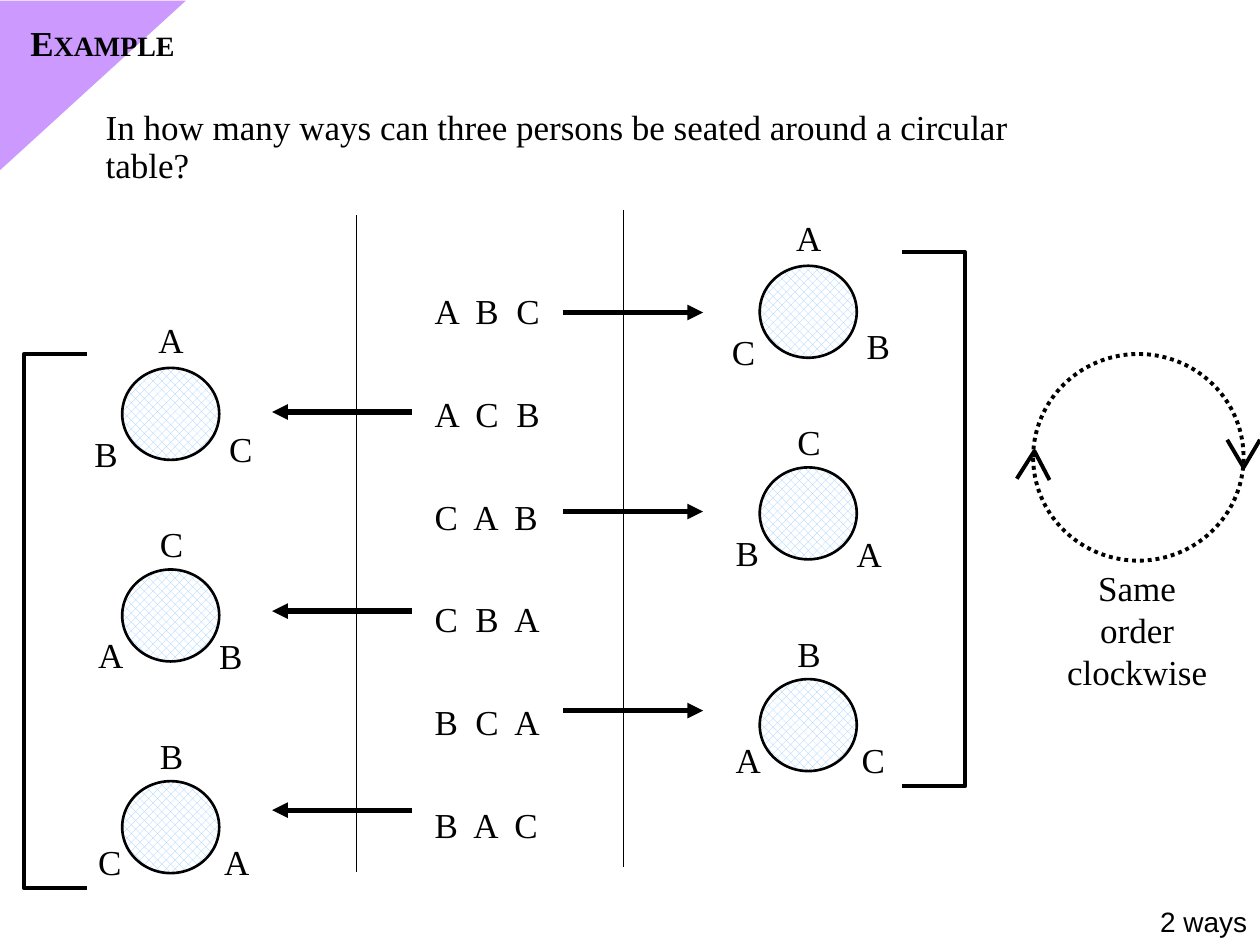
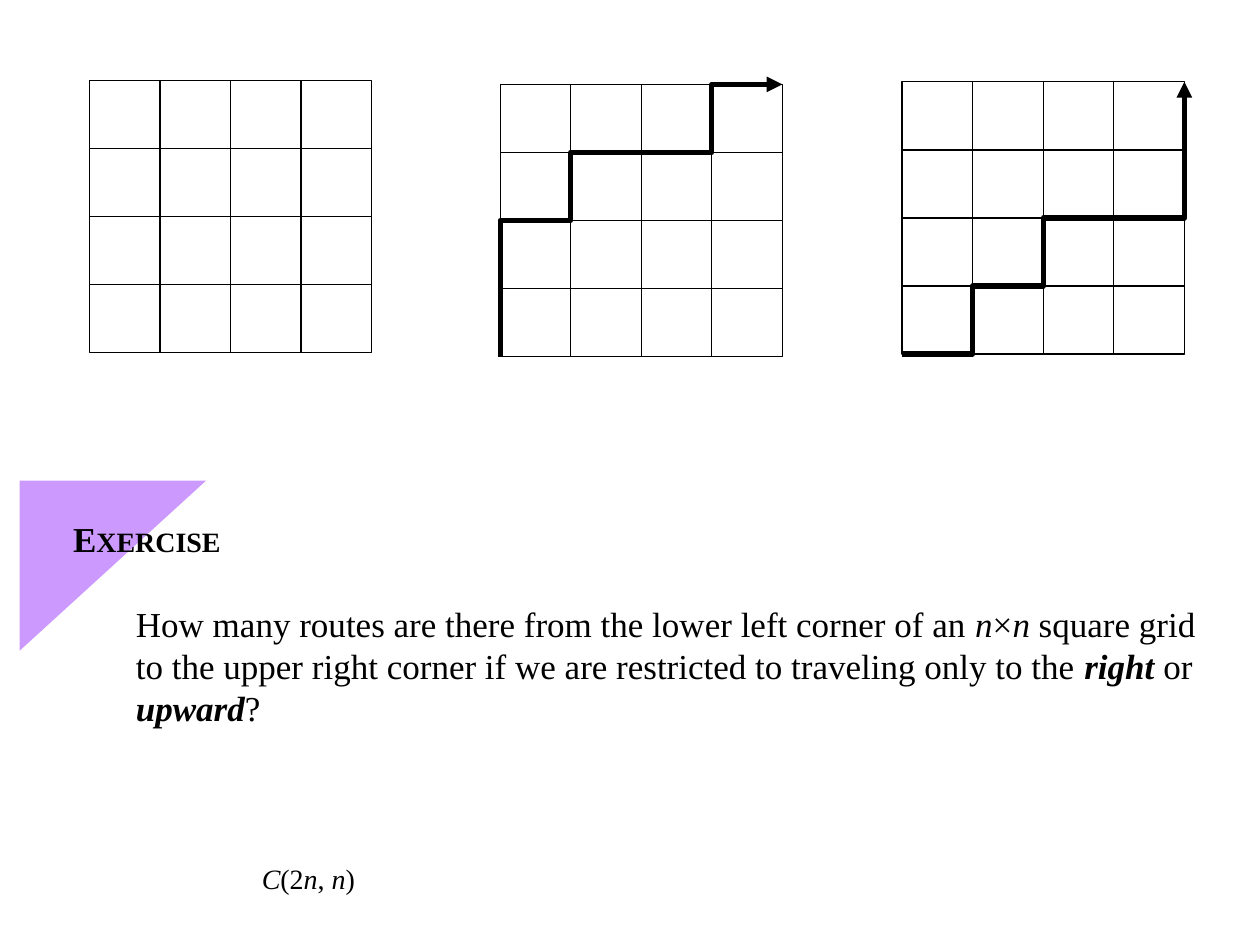
from dataclasses import dataclass
from itertools import product

from lxml import etree
from pptx import Presentation
from pptx.dml.color import RGBColor
from pptx.enum.dml import MSO_LINE_DASH_STYLE, MSO_PATTERN_TYPE
from pptx.enum.shapes import MSO_CONNECTOR, MSO_SHAPE
from pptx.enum.text import MSO_ANCHOR, MSO_AUTO_SIZE, PP_ALIGN
from pptx.oxml.ns import qn
from pptx.util import Inches, Pt

STRAIGHT = MSO_CONNECTOR.STRAIGHT
OVAL = MSO_SHAPE.OVAL
RECTANGLE = MSO_SHAPE.RECTANGLE
RIGHT_TRIANGLE = MSO_SHAPE.RIGHT_TRIANGLE
LEFT_BRACKET = MSO_SHAPE.LEFT_BRACKET
RIGHT_BRACKET = MSO_SHAPE.RIGHT_BRACKET
DOTTED = MSO_LINE_DASH_STYLE.ROUND_DOT
HALF_TONE = MSO_PATTERN_TYPE.PERCENT_50
TOP = MSO_ANCHOR.TOP
NO_AUTOFIT = MSO_AUTO_SIZE.NONE
LEFT = PP_ALIGN.LEFT
CENTER = PP_ALIGN.CENTER


@dataclass(frozen=True)
class Theme:
    ink: RGBColor = RGBColor(0x00, 0x00, 0x00)
    paper: RGBColor = RGBColor(0xFF, 0xFF, 0xFF)
    corner: RGBColor = RGBColor(0xCC, 0x99, 0xFF)
    table: RGBColor = RGBColor(0x99, 0xCC, 0xFF)
    serif: str = "Times New Roman"
    sans: str = "Arial"
    body: int = 20
    small: int = 16
    hairline: float = 0.75
    rim: float = 1.5
    medium: float = 2.25
    heavy: float = 3


theme = Theme()


def write_text(text_frame, lines, size=theme.body, font=theme.serif, align=LEFT, spacing=1.0, gap=0):
    text_frame.word_wrap = True
    text_frame.auto_size = NO_AUTOFIT
    text_frame.vertical_anchor = TOP
    for index, line in enumerate(lines):
        paragraph = text_frame.add_paragraph() if index else text_frame.paragraphs[0]
        paragraph.alignment = align
        paragraph.line_spacing = spacing
        paragraph.space_before = Pt(gap if index else 0)
        for text, style in [(line, "")] if isinstance(line, str) else line:
            run = paragraph.add_run()
            run.text = text
            run.font.name = font
            run.font.size = Pt(theme.small if "small" in style else size)
            run.font.bold = "bold" in style
            run.font.italic = "italic" in style
            run.font.color.rgb = theme.ink


def style_line(shape, width, arrow=False):
    shape.line.color.rgb = theme.ink
    shape.line.width = Pt(width)
    if arrow:
        etree.SubElement(shape.line._get_or_add_ln(), qn("a:tailEnd"), type="triangle")
    etree.SubElement(shape.element.spPr, qn("a:effectLst"))


presentation = Presentation()
presentation.slide_width = Inches(10)
presentation.slide_height = Inches(7.5)

headings = [
    ("E", "XAMPLE", 0.14, 0.12, 0.06, -0.06),
    ("E", "XERCISE", 0.48, 4.06, 0.22, 3.75),
]
for initial, rest, left, top, corner_left, corner_top in headings:
    slide = presentation.slides.add_slide(presentation.slide_layouts[5])
    title = slide.shapes.title
    title.left, title.top, title.width, title.height = Inches(left), Inches(top), Inches(1.6), Inches(0.43)
    write_text(title.text_frame, [[(initial, "bold"), (rest, "bold small")]])
    corner = slide.shapes.add_shape(
        RIGHT_TRIANGLE, Inches(corner_left), Inches(corner_top), Inches(1.35), Inches(1.48))
    corner.rotation = 90
    corner.shadow.inherit = False
    corner.fill.solid()
    corner.fill.fore_color.rgb = theme.corner
    corner.line.fill.background()
    title.element.addprevious(corner.element)

example, exercise = presentation.slides

for x, top in [(2.83, 1.71), (4.95, 1.67)]:
    divider = example.shapes.add_connector(STRAIGHT, Inches(x), Inches(top), Inches(x), Inches(top + 5.21))
    style_line(divider, theme.hairline)

orders = ["A  B  C", "A  C  B", "C  A  B", "C  B  A", "B  C  A", "B  A  C"]
side_drop = 0.81
table_tops = [2.11, 3.71, 5.39]
letter_offsets = [
    [(0.19, -0.44), (0.75, 0.42), (-0.32, 0.46)],
    [(0.2, -0.42), (0.67, 0.47), (-0.29, 0.46)],
    [(0.2, -0.42), (0.71, 0.42), (-0.29, 0.42)],
]
letters = []
for index, order in enumerate(orders):
    row, on_left = divmod(index, 2)
    table_left = 0.97 if on_left else 6.03
    table_top = table_tops[row] + on_left * side_drop
    round_table = example.shapes.add_shape(
        OVAL, Inches(table_left), Inches(table_top), Inches(0.77), Inches(0.73))
    round_table.fill.patterned()
    round_table.fill.pattern = HALF_TONE
    round_table.fill.fore_color.rgb = theme.table
    round_table.fill.back_color.rgb = theme.paper
    style_line(round_table, theme.rim)
    for person, (across, down) in zip(order.split(), letter_offsets[row]):
        letters.append((example, table_left + across, table_top + down, 0.4, 0.43, [person], {}))

    start, end = (3.27, 2.16) if on_left else (4.47, 5.58)
    arrow_y = Inches(2.48 + index * 0.79)
    arrow = example.shapes.add_connector(STRAIGHT, Inches(start), arrow_y, Inches(end), arrow_y)
    style_line(arrow, theme.heavy, arrow=True)

for kind, left, top in [(RIGHT_BRACKET, 7.16, 2), (LEFT_BRACKET, 0.19, 2 + side_drop)]:
    bracket = example.shapes.add_shape(kind, Inches(left), Inches(top), Inches(0.5), Inches(4.24))
    bracket.adjustments[0] = 0
    bracket.fill.background()
    style_line(bracket, theme.medium)

clockwise_ring = example.shapes.add_shape(OVAL, Inches(8.2), Inches(2.81), Inches(1.67), Inches(1.64))
clockwise_ring.fill.background()
style_line(clockwise_ring, theme.medium)
clockwise_ring.line.dash_style = DOTTED

cell_width, cell_height = 0.56, 0.54
for grid_left, grid_top in [(0.71, 0.64), (3.97, 0.67), (7.16, 0.65)]:
    for row, column in product(range(4), repeat=2):
        cell = exercise.shapes.add_shape(
            RECTANGLE, Inches(grid_left + column * cell_width), Inches(grid_top + row * cell_height),
            Inches(cell_width), Inches(cell_height))
        cell.fill.solid()
        cell.fill.fore_color.rgb = theme.paper
        style_line(cell, theme.hairline)

polylines = [
    (example, [(8.07, 3.8), (8.21, 3.58), (8.33, 3.81)], theme.medium, False),
    (example, [(9.74, 3.49), (9.87, 3.71), (10, 3.49)], theme.medium, False),
]
routes = [
    (3.97, 0.67, [(0, 4), (0, 2), (1, 2), (1, 1), (3, 1), (3, 0), (4, 0)]),
    (7.16, 0.65, [(0, 4), (1, 4), (1, 3), (2, 3), (2, 2), (4, 2), (4, 0)]),
]
for left, top, steps in routes:
    points = [(left + column * cell_width, top + row * cell_height) for column, row in steps]
    polylines.append((exercise, points, theme.heavy, True))

for slide, points, width, arrow in polylines:
    corners = [(Inches(x), Inches(y)) for x, y in points]
    builder = slide.shapes.build_freeform(*corners[0])
    builder.add_line_segments(corners[1:], close=False)
    polyline = builder.convert_to_shape()
    polyline.fill.background()
    style_line(polyline, width, arrow)

question = [
    [("How many routes are there from the lower left corner of an", ""), (" n", "italic"), ("×", ""),
     ("n", "italic"), (" square grid", "")],
    [("to the upper right corner if we are restricted to traveling only to the ", ""),
     ("right", "bold italic"), (" or", "")],
    [("upward", "bold italic"), ("?", "")],
]
answer = [[("C", "italic"), ("(2", ""), ("n", "italic"), (", ", ""), ("n", "italic"), (")", "")]]
text_boxes = letters + [
    (example, 0.74, 0.83, 8.07, 0.7,
     ["In how many ways can three persons be seated around a circular table?"], {"spacing": 0.9}),
    (example, 3.35, 2.18, 1.05, 4.49, orders, {"spacing": 1.2, "gap": 30}),
    (example, 8.29, 4.45, 1.47, 0.77, ["Same order", "clockwise"], {"align": CENTER}),
    (example, 9.11, 7.13, 0.89, 0.37, ["2 ways"], {"size": theme.small, "font": theme.sans}),
    (exercise, 0.98, 4.73, 8.8, 1.1, question, {}),
    (exercise, 1.98, 6.79, 1.2, 0.37, answer, {"size": theme.small}),
]
for slide, left, top, width, height, lines, options in text_boxes:
    text_box = slide.shapes.add_textbox(Inches(left), Inches(top), Inches(width), Inches(height))
    write_text(text_box.text_frame, lines, **options)

presentation.save("out.pptx")
